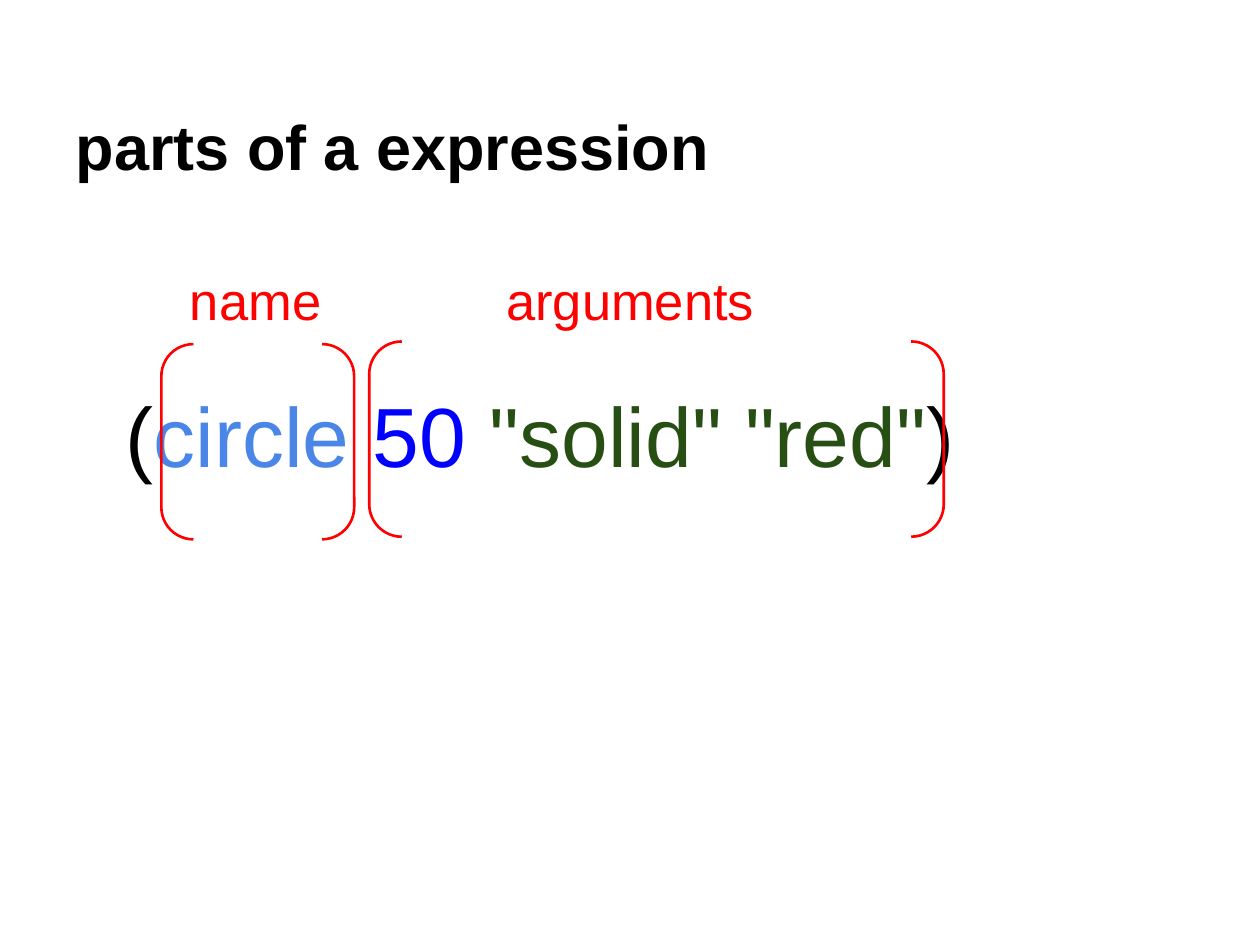
from pptx import Presentation
from pptx.dml.color import RGBColor
from pptx.enum.shapes import MSO_SHAPE
from pptx.enum.text import MSO_ANCHOR, PP_ALIGN
from pptx.util import Pt

COLORS = {"black": "000000", "red": "FF0000", "name": "4A86E8",
          "number": "0000FF", "string": "274E13"}
TITLE = "parts of a expression"
EXPRESSION = [("(", "black"), ("circle", "name"), (" 50 ", "number"),
              ('"solid" "red"', "string"), (")", "black")]
TITLE_BOX = (36, 21.6, 648, 90)
EXPRESSION_BOX = (64.8, 211.7, 590.4, 94.3)
LABEL_TOP, LABEL_HEIGHT, BRACKET_HEIGHT = 146.2, 65.5, 111.6
PARTS = [
    {"label": "arguments", "left": 282.2, "width": 203, "bracket": (211, 195.1, 328.3)},
    {"label": "name", "left": 101.5, "width": 110.2, "bracket": (92.2, 196.6, 110.2)},
]


def color(name):
    """Return the named colour."""
    return RGBColor.from_string(COLORS[name])


def write(shape, box, runs, size, bold=False, anchor=MSO_ANCHOR.TOP):
    """Place a text shape and fill it with coloured runs."""
    shape.left, shape.top, shape.width, shape.height = map(Pt, box)
    tf = shape.text_frame
    tf.word_wrap = True
    tf.vertical_anchor = anchor
    tf.margin_left = tf.margin_right = tf.margin_top = tf.margin_bottom = Pt(7.2)
    p = tf.paragraphs[0]
    p.alignment = PP_ALIGN.LEFT
    p.font.name, p.font.size, p.font.bold = "Arial", Pt(size), bold
    for text, name in runs:
        r = p.add_run()
        r.text = text
        r.font.color.rgb = color(name)


def add_text(s, box, runs, size):
    """Add a text box with coloured runs."""
    write(s.shapes.add_textbox(0, 0, 0, 0), box, runs, size)


def add_bracket(s, left, top, width):
    """Add a red pair of brackets."""
    sp = s.shapes.add_shape(MSO_SHAPE.DOUBLE_BRACKET, Pt(left), Pt(top),
                            Pt(width), Pt(BRACKET_HEIGHT))
    sp.shadow.inherit = False
    sp.fill.background()
    sp.line.color.rgb = color("red")
    sp.line.width = Pt(1.5)


def main():
    """Build the slide."""
    prs = Presentation()
    prs.slide_width, prs.slide_height = Pt(720), Pt(540)
    s = prs.slides.add_slide(prs.slide_layouts[5])
    write(s.shapes.title, TITLE_BOX, [(TITLE, "black")], 36,
          bold=True, anchor=MSO_ANCHOR.BOTTOM)
    add_text(s, EXPRESSION_BOX, EXPRESSION, 48)
    for part in PARTS:
        box = (part["left"], LABEL_TOP, part["width"], LABEL_HEIGHT)
        add_text(s, box, [(part["label"], "red")], 30)
    for part in PARTS:
        add_bracket(s, *part["bracket"])
    prs.save("out.pptx")


if __name__ == "__main__":
    main()
